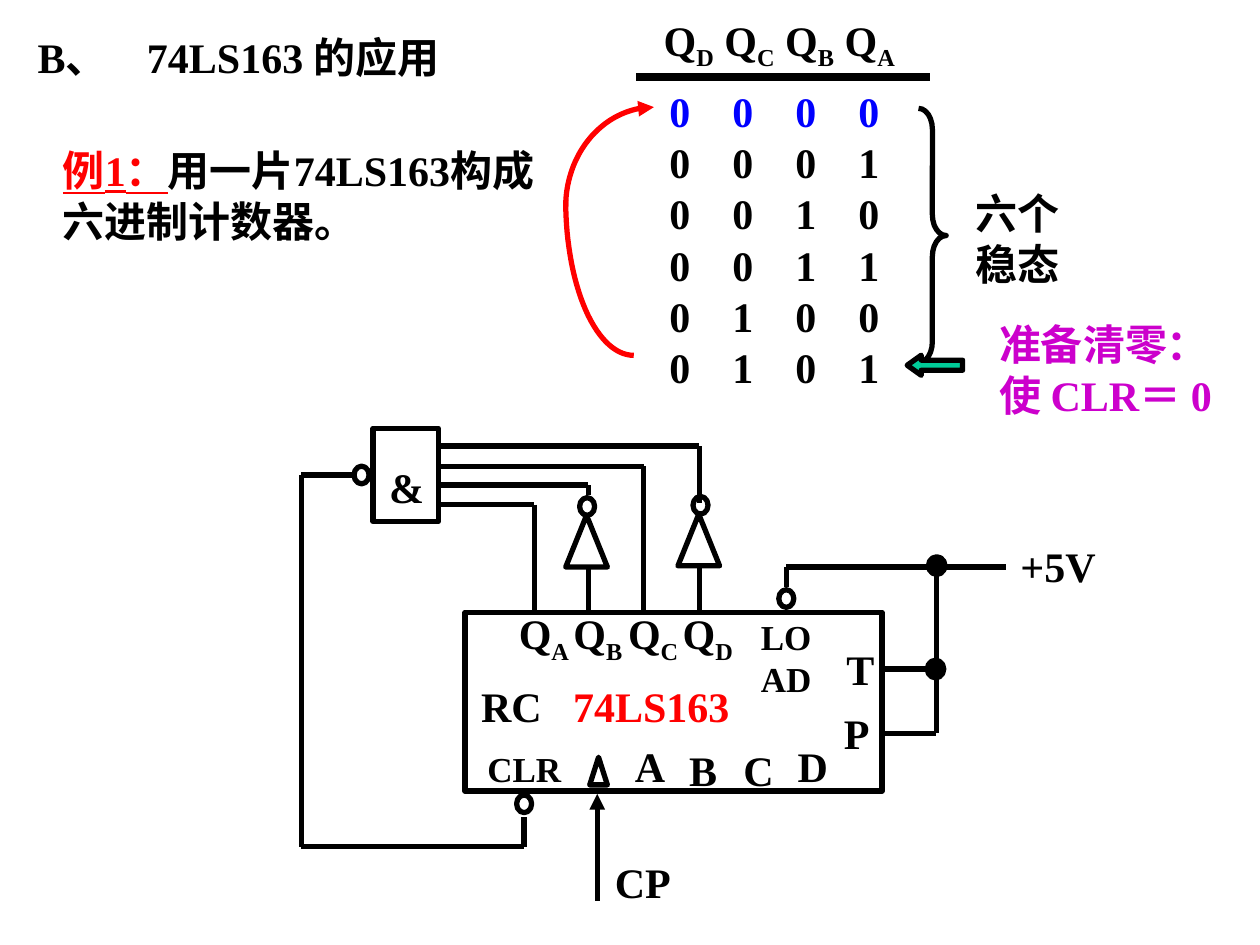
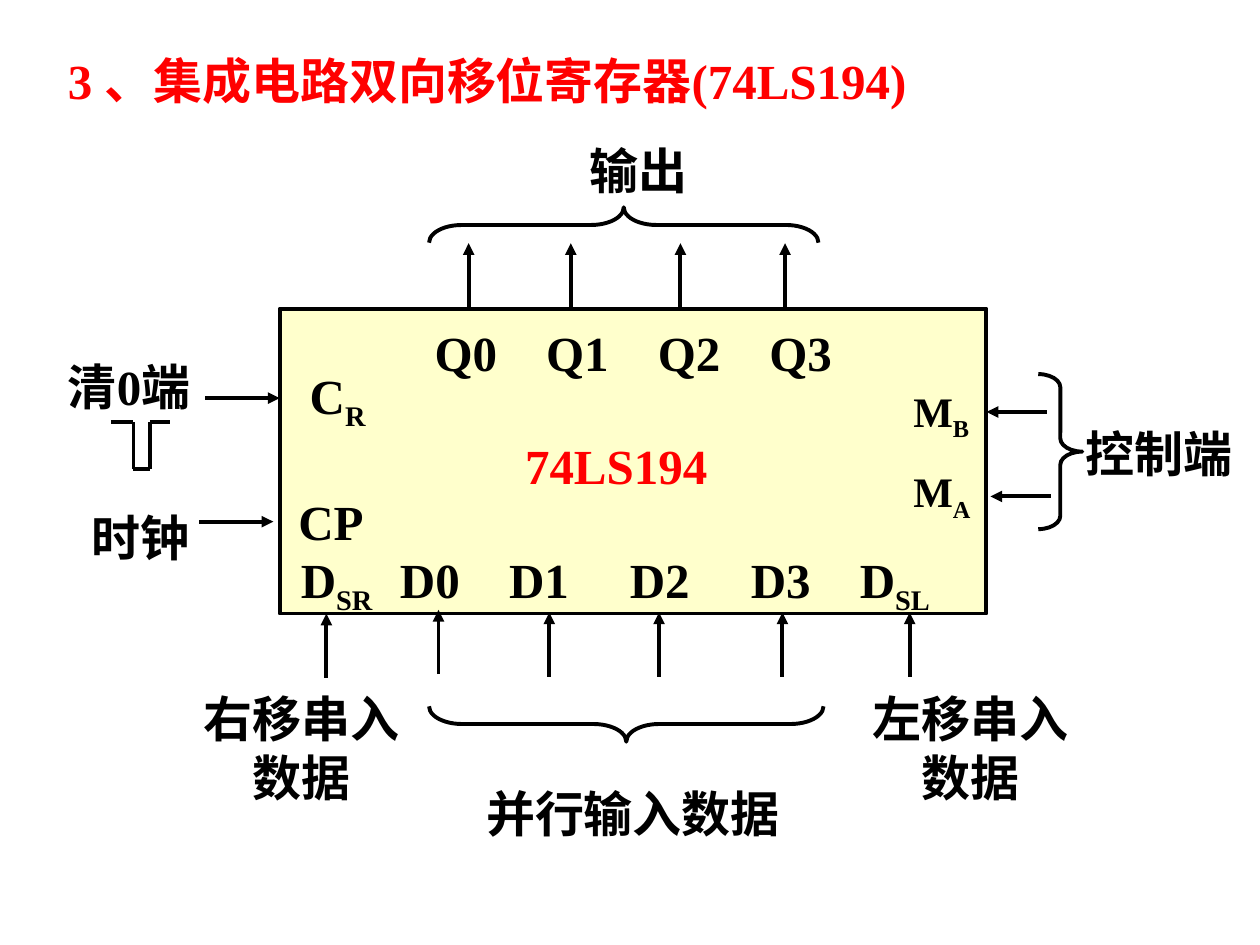
import math
from dataclasses import dataclass

import pptx
import pptx.dml.color
import pptx.enum.lang
import pptx.enum.shapes
import pptx.enum.text
import pptx.oxml
import pptx.oxml.ns
import pptx.util
from lxml import etree

Pt = pptx.util.Pt
SHAPE = pptx.enum.shapes.MSO_SHAPE
ANCHOR = pptx.enum.text.MSO_ANCHOR
CENTER = pptx.enum.text.PP_ALIGN.CENTER
qn = pptx.oxml.ns.qn


@dataclass(frozen=True)
class Theme:
    font: str = "Times New Roman"
    ink: str = "000000"
    accent: str = "FF0000"
    first_state: str = "0000FF"
    note: str = "CC00CC"
    pointer: str = "00CC99"
    chip: str = "FFFFCC"
    small: int = 20
    body: int = 24
    large: int = 28
    thin: float = 2.25
    wire: float = 3
    rule: float = 4.5


THEME = Theme()


def rgb(color):
    return pptx.dml.color.RGBColor.from_string(color)


# Text
def add_run(paragraph, text, size, color, subscript=False, underline=False):
    run = paragraph.add_run()
    run.text = text
    font = run.font
    font.name, font.size, font.bold = THEME.font, Pt(size), True
    font.color.rgb = rgb(color)
    font.language_id = pptx.enum.lang.MSO_LANGUAGE_ID.SIMPLIFIED_CHINESE
    if underline:
        font.underline = True
    if subscript:
        font._element.set("baseline", "-25000")


def add_tabs(paragraph, stops):
    tab_list = etree.SubElement(paragraph._p.get_or_add_pPr(), qn("a:tabLst"))
    for stop in stops:
        etree.SubElement(tab_list, qn("a:tab"), pos=str(Pt(stop)), algn="l")


def add_text_frame(slide, left, top, width, height, anchor):
    box = slide.shapes.add_textbox(Pt(left), Pt(top), Pt(width), Pt(height))
    frame = box.text_frame
    frame.word_wrap = True
    frame.auto_size = pptx.enum.text.MSO_AUTO_SIZE.SHAPE_TO_FIT_TEXT
    frame.vertical_anchor = anchor
    return frame


def add_label(slide, text, left, top, width=36, height=36, size=THEME.body,
              color=THEME.ink, anchor=ANCHOR.MIDDLE, align=None, tabs=()):
    """Each line is a paragraph; parts between tildes are subscripts."""
    frame = add_text_frame(slide, left, top, width, height, anchor)
    for index, line in enumerate(text.split("\n")):
        paragraph = frame.paragraphs[0] if index == 0 else frame.add_paragraph()
        if tabs:
            add_tabs(paragraph, tabs)
        if index:
            paragraph.space_before = Pt(13)
        paragraph.alignment = align
        for part, piece in enumerate(line.split("~")):
            if piece:
                add_run(paragraph, piece, size, color, subscript=part % 2 == 1)


def add_large_label(slide, text, left, top, width, height=41, **style):
    add_label(slide, text, left, top, width, height, size=THEME.large,
              anchor=ANCHOR.TOP, **style)


# Shapes and lines
def set_line(line, color, weight, head=None, tail=None):
    line.color.rgb = rgb(color)
    line.width = Pt(weight)
    for tag, kind in (("a:headEnd", head), ("a:tailEnd", tail)):
        if kind:
            etree.SubElement(line._get_or_add_ln(), qn(tag), type=kind)


def add_outline(slide, kind, left, top, width, height, weight=THEME.wire,
                fill=None, adjustments=(), rotation=0):
    shape = slide.shapes.add_shape(kind, Pt(left), Pt(top), Pt(width), Pt(height))
    shape.shadow.inherit = False
    shape.rotation = rotation
    for index, value in enumerate(adjustments):
        shape.adjustments[index] = value
    if fill:
        shape.fill.solid()
        shape.fill.fore_color.rgb = rgb(fill)
    else:
        shape.fill.background()
    set_line(shape.line, THEME.ink, weight)


def add_wire(slide, *points, weight=THEME.wire, tail=None):
    for (x1, y1), (x2, y2) in zip(points, points[1:]):
        connector = slide.shapes.add_connector(
            pptx.enum.shapes.MSO_CONNECTOR.STRAIGHT, Pt(x1), Pt(y1), Pt(x2), Pt(y2))
        set_line(connector.line, THEME.ink, weight, tail=tail)
        etree.SubElement(connector._element.spPr, qn("a:effectLst"))


def add_pin_arrow(slide, start, end):
    add_wire(slide, start, end, weight=THEME.thin, tail="triangle")


def add_quarter_arc(slide, center, radius_x, radius_y, start, head=None):
    """Sweep 90 degrees; angles grow clockwise from the right."""
    steps = 30
    points = []
    for step in range(steps + 1):
        angle = math.radians(start + math.copysign(90, 180 - start) * step / steps)
        points.append((Pt(center[0] + radius_x * math.cos(angle)),
                       Pt(center[1] + radius_y * math.sin(angle))))
    builder = slide.shapes.build_freeform(*points[0])
    builder.add_line_segments(points[1:], close=False)
    arc = builder.convert_to_shape()
    arc.shadow.inherit = False
    arc.fill.background()
    set_line(arc.line, THEME.accent, THEME.wire, head=head)


def add_bubble(slide, left, top):
    add_outline(slide, SHAPE.OVAL, left, top, 8.6, 10.1)


def add_junction(slide, left, top):
    add_outline(slide, SHAPE.OVAL, left, top, 9.4, 10.1, fill=THEME.ink)


# Slide 1: modulo-six counter
def add_task(slide):
    add_label(slide, "B、\t74LS163 的应用", 14.4, 14.4, 341.3, tabs=[62.5])
    frame = add_text_frame(slide, 28.8, 79.2, 283.7, 64.8, ANCHOR.MIDDLE)
    task = frame.paragraphs[0]
    add_run(task, "例1：", THEME.body, THEME.accent, underline=True)
    add_run(task, "用一片74LS163构成六进制计数器。", THEME.body, THEME.ink)


def add_state_table(slide):
    add_label(slide, "Q~D~ Q~C~ Q~B~ Q~A", 372.2, 6.5, 170.6)
    add_wire(slide, (363.6, 43.9), (531.4, 43.9), weight=THEME.rule)
    for state in range(6):
        add_label(slide, "\t".join(f"{state:04b}"), 375.5, 45.4 + 29.2 * state, 147,
                  color=THEME.ink if state else THEME.first_state,
                  tabs=[36, 72, 108])
    add_outline(slide, SHAPE.RIGHT_BRACE, 524.9, 61.9, 15.8, 145.4,
                adjustments=(0.76, 0.5))
    add_label(slide, "六个 稳态", 550.1, 103.7, 68.4, 64.8)
    add_outline(slide, SHAPE.LEFT_ARROW, 518.4, 203, 31.7, 11.5,
                fill=THEME.pointer, adjustments=(0.5, 0.7))
    add_label(slide, "准备清零： 使 CLR＝ 0", 563.8, 178.6, 154.1, 64.8,
              color=THEME.note)
    # Return path from the last state to the first
    add_quarter_arc(slide, (373.7, 118.1), 50.4, 56.9, 270, head="triangle")
    add_quarter_arc(slide, (362.2, 114.5), 38.9, 88.6, 90)


def add_counter_chip(slide):
    add_outline(slide, SHAPE.RECTANGLE, 265.7, 349.9, 238.3, 102.2)
    for index, letter in enumerate("ABCD"):
        add_label(slide, f"Q~{letter}", 289.4 + 31.2 * index, 345.6, 50.4)
    for index, (letter, top) in enumerate(zip("ABCD", (419.8, 421.9, 421.9, 419.8))):
        add_label(slide, letter, 355.7 + 31 * index, top)
    add_label(slide, "T", 476.6, 364.3)
    add_label(slide, "P", 475.2, 401)
    add_label(slide, "RC", 267.8, 385.2, 56.9)
    add_label(slide, "74LS163", 320.4, 385.2, 104.4, color=THEME.accent)
    add_label(slide, "LOAD", 427.7, 347.8, 43.9, 55.4, size=THEME.small)
    add_label(slide, "CLR", 271.4, 423.4, 62.6, 31, size=THEME.small)
    add_outline(slide, SHAPE.ISOSCELES_TRIANGLE, 337, 432.7, 10.1, 15.8)


def add_counter_wiring(slide):
    # Gate and inverters
    add_outline(slide, SHAPE.RECTANGLE, 213.1, 244.8, 37.4, 53.3)
    add_label(slide, "&", 215.3, 259.9)
    for left, top in ((323.3, 294.5), (387.4, 293.8)):
        add_outline(slide, SHAPE.ISOSCELES_TRIANGLE, left, top, 23.8, 29.5)
    # Outputs to gate inputs: x of the output, y of the input, lower end
    for x, y, bottom in ((399.6, 254.9, 287.3), (367.9, 266.4, 349.2),
                         (336.2, 277.2, 283), (305.3, 288.4, 350.6)):
        add_wire(slide, (252, y), (x, y), (x, bottom))
    for x in (336.2, 399.6):
        add_wire(slide, (x, 324.4), (x, 349.9))
    # Feedback to CLR
    add_wire(slide, (200.9, 271.4), (172.1, 271.4), (172.1, 483.8),
             (299.5, 483.8), (299.5, 466.6))
    # Supply to LOAD, T and P
    add_wire(slide, (449.3, 335.5), (449.3, 324), (574.6, 324))
    add_wire(slide, (504, 382.3), (533.5, 382.3))
    add_wire(slide, (504, 419), (535, 419), (535, 324))
    add_junction(slide, 530.6, 318.2)
    add_junction(slide, 529.9, 377.3)
    add_label(slide, "+5V", 576, 305.3, 70.6)
    # Inverting pins, inverter outputs and clock
    for left, top in ((295.2, 454.3), (445, 337), (202.3, 266.4),
                      (331.2, 284.4), (396, 283.7)):
        add_bubble(slide, left, top)
    add_wire(slide, (341.3, 514.8), (341.3, 453.6), tail="triangle")
    add_label(slide, "CP", 344.2, 486, 61.2)


# Slide 2: shift register
def add_register_chip(slide):
    add_outline(slide, SHAPE.RECTANGLE, 159.8, 176.4, 403.9, 174.2,
                weight=THEME.thin, fill=THEME.chip)
    add_large_label(slide, "Q0\tQ1\tQ2\tQ3", 241.2, 180.7, 253.4,
                    tabs=[63.8 * column for column in (1, 2, 3)])
    add_large_label(slide, "D~SR~\tD0\tD1\tD2\tD3\tD~SL", 164.9, 310.3, 391,
                    tabs=[56.6, 118.9, 188, 257.1, 319.4])
    add_large_label(slide, "C~R", 169.9, 205.2, 64.8)
    add_large_label(slide, "CP", 163.4, 277.2, 54.7)
    add_large_label(slide, "74LS194", 293, 245.5, 136, color=THEME.accent)
    add_label(slide, "M~B\nM~A", 514.8, 216.7, 56.9, 79.2, anchor=ANCHOR.TOP)


def add_register_pins(slide):
    for x in (267.8, 326.2, 388.8, 448.6):
        add_pin_arrow(slide, (x, 175.7), (x, 139))
    for x, top in ((186.5, 350.6), (250.6, 348.5), (313.9, 350), (376.6, 350),
                   (447.1, 350), (519.8, 350)):
        add_pin_arrow(slide, (x, top + 36.7), (x, top))
    for start, length, y in ((117.4, 42.4, 227.5), (113.8, 42.4, 298.1),
                             (598.3, -34.5, 235.4), (600.5, -34.5, 283.7)):
        add_pin_arrow(slide, (start, y), (start + length, y))


def add_register_captions(slide):
    add_large_label(slide, "3 、集成电路双向移位寄存器(74LS194)", 31.7, 25.2, 545,
                    color=THEME.accent)
    for text, left, top, width in (("输出", 329.8, 77, 77), ("清0端", 31.7, 200.2, 100.1),
                                   ("时钟", 45.4, 286.6, 79.2),
                                   ("控制端", 613.4, 238.3, 106.6),
                                   ("并行输入数据", 270.7, 444.2, 191.5)):
        add_large_label(slide, text, left, top, width)
    for text, left in (("右移串入数据", 103.7), ("左移串入数据", 486)):
        add_large_label(slide, text, left, 389.8, 137.5, 74.2, align=CENTER)
    # Braces around outputs, parallel inputs and control pins
    for kind, left, top, width, height, curl, rotation in (
            (SHAPE.LEFT_BRACE, 346.3, 17.3, 20.2, 222.5, 0.92, 90),
            (SHAPE.LEFT_BRACE, 347.8, 301, 20.2, 225.4, 0.93, 270),
            (SHAPE.RIGHT_BRACE, 593.3, 213.8, 25.2, 88.6, 0.3, 0)):
        add_outline(slide, kind, left, top, width, height, weight=THEME.thin,
                    adjustments=(curl, 0.5), rotation=rotation)
    # Active-low clear pulse
    add_wire(slide, (63.4, 241.2), (76.3, 241.2), (76.3, 267.8), (85.7, 267.8),
             (85.7, 241.2), (97.2, 241.2), weight=THEME.thin)


def main():
    deck = pptx.Presentation()
    deck.slide_width, deck.slide_height = Pt(720), Pt(540)
    blank = deck.slide_layouts[6]

    counter = deck.slides.add_slide(blank)
    add_task(counter)
    add_state_table(counter)
    add_counter_chip(counter)
    add_counter_wiring(counter)

    register = deck.slides.add_slide(blank)
    add_register_chip(register)
    add_register_pins(register)
    add_register_captions(register)

    deck.save("out.pptx")


if __name__ == "__main__":
    main()
